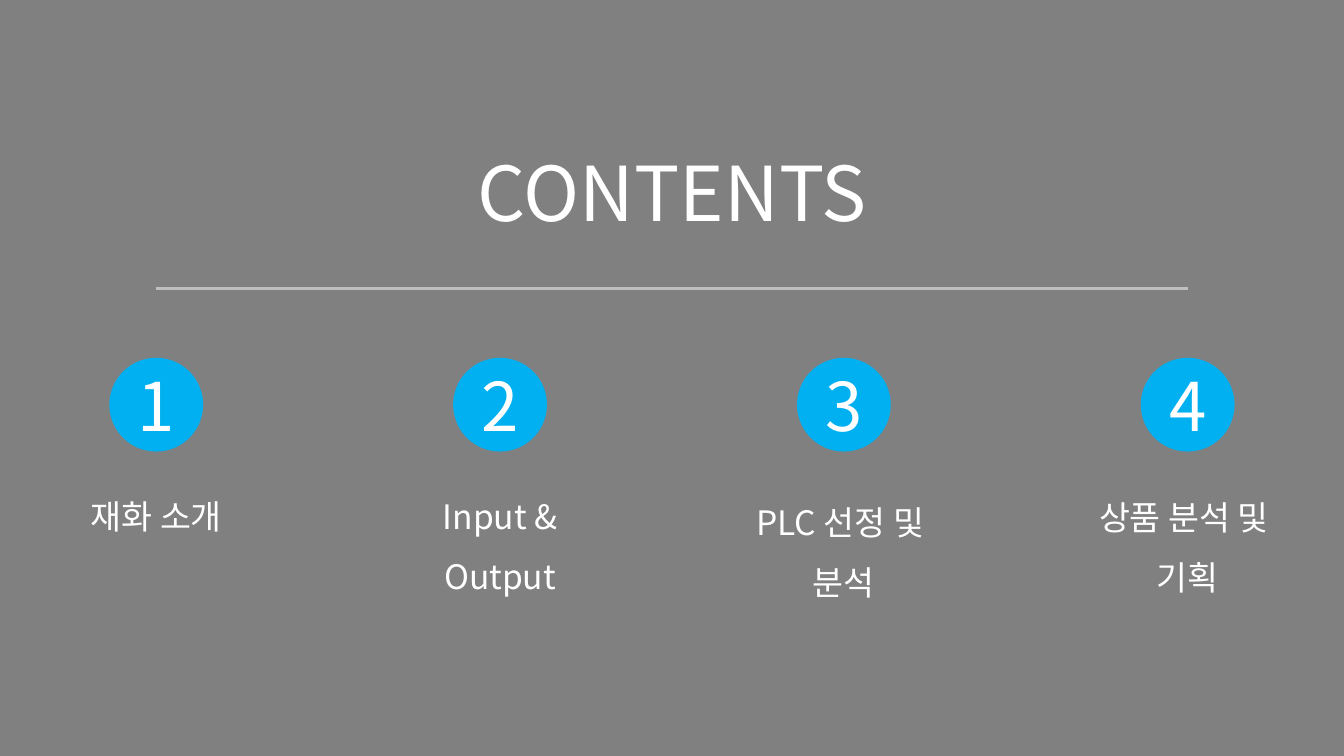
import pptx
import pptx.util
import pptx.dml.color
import pptx.enum.shapes
import pptx.enum.text
import pptx.oxml.ns
from lxml import etree

Inches = pptx.util.Inches
FONT = "Noto Sans CJK KR"
COLORS = {"background": "808080", "circle": "00B0F0", "rule": "BFBFBF", "text": "FFFFFF"}
TOPICS = [
    (4.67, 0.65, ["재화 소개"]),
    (4.67, 1.25, ["Input & Output"]),
    (4.73, 1.25, ["PLC 선정 및 ", "분석"]),
    (4.68, 1.25, ["상품 분석 및 ", "기획"]),
]
FIRST_CENTER = 1.55
PITCH = 3.41
CIRCLE = 0.93
TOPIC_WIDTH = 2.46


def rgb(name):
    return pptx.dml.color.RGBColor.from_string(COLORS[name])


def write(tf, lines, size, spacing=None):
    tf.word_wrap = True
    for i, line in enumerate(lines):
        p = tf.add_paragraph() if i else tf.paragraphs[0]
        p.text = line
        p.alignment = pptx.enum.text.PP_ALIGN.CENTER
        if spacing:
            p.line_spacing = spacing
        p.font.size = pptx.util.Pt(size)
        p.font.name = FONT
        p.font.color.rgb = rgb("text")
        latin = p._p.pPr.find(".//" + pptx.oxml.ns.qn("a:latin"))
        ea = etree.Element(pptx.oxml.ns.qn("a:ea"), typeface=FONT)
        latin.addnext(ea)


def add_text(s, x, y, w, h, lines, size, spacing=None):
    sp = s.shapes.add_textbox(Inches(x), Inches(y), Inches(w), Inches(h))
    write(sp.text_frame, lines, size, spacing)


def add_rule(s, x1, x2, y):
    line = s.shapes.add_connector(
        pptx.enum.shapes.MSO_CONNECTOR.STRAIGHT, Inches(x1), Inches(y), Inches(x2), Inches(y))
    line.line.color.rgb = rgb("rule")
    line.line.width = pptx.util.Pt(2.5)
    etree.SubElement(line._element.spPr, pptx.oxml.ns.qn("a:effectLst"))


def add_number(s, center, y, number):
    sp = s.shapes.add_shape(
        pptx.enum.shapes.MSO_SHAPE.OVAL,
        Inches(center - CIRCLE / 2), Inches(y), Inches(CIRCLE), Inches(CIRCLE))
    sp.shadow.inherit = False
    sp.fill.solid()
    sp.fill.fore_color.rgb = rgb("circle")
    sp.line.fill.background()
    tf = sp.text_frame
    tf.vertical_anchor = pptx.enum.text.MSO_ANCHOR.MIDDLE
    write(tf, [str(number)], 48)


def main():
    prs = pptx.Presentation()
    prs.slide_width = Inches(13.33)
    prs.slide_height = Inches(7.5)
    s = prs.slides.add_slide(prs.slide_layouts[6])
    s.background.fill.solid()
    s.background.fill.fore_color.rgb = rgb("background")

    add_text(s, 3.24, 1.4, 6.85, 1.01, ["CONTENTS"], 54)
    add_rule(s, FIRST_CENTER, FIRST_CENTER + 3 * PITCH, 2.86)
    for i, (top, height, lines) in enumerate(TOPICS):
        center = FIRST_CENTER + i * PITCH
        add_number(s, center, 3.55, i + 1)
        add_text(s, center - TOPIC_WIDTH / 2, top, TOPIC_WIDTH, height, lines, 24, 1.5)

    prs.save("out.pptx")


if __name__ == "__main__":
    main()
